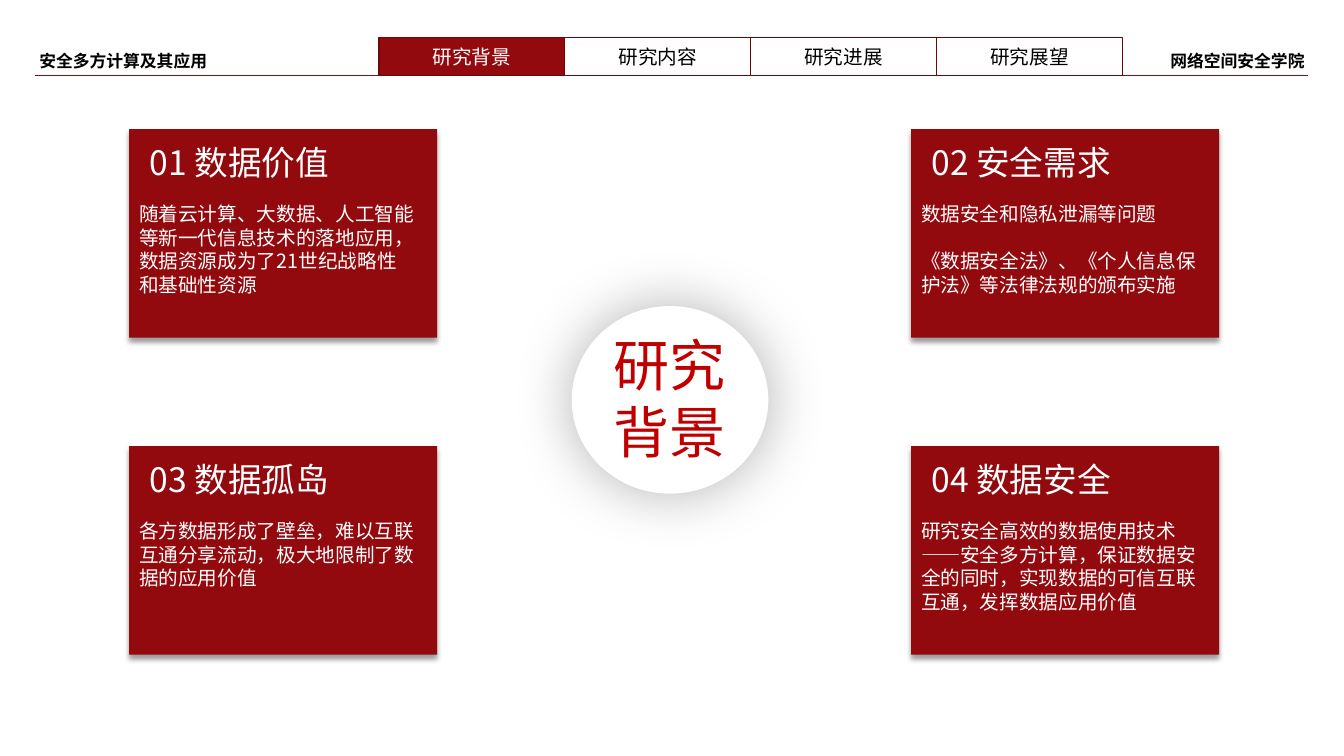
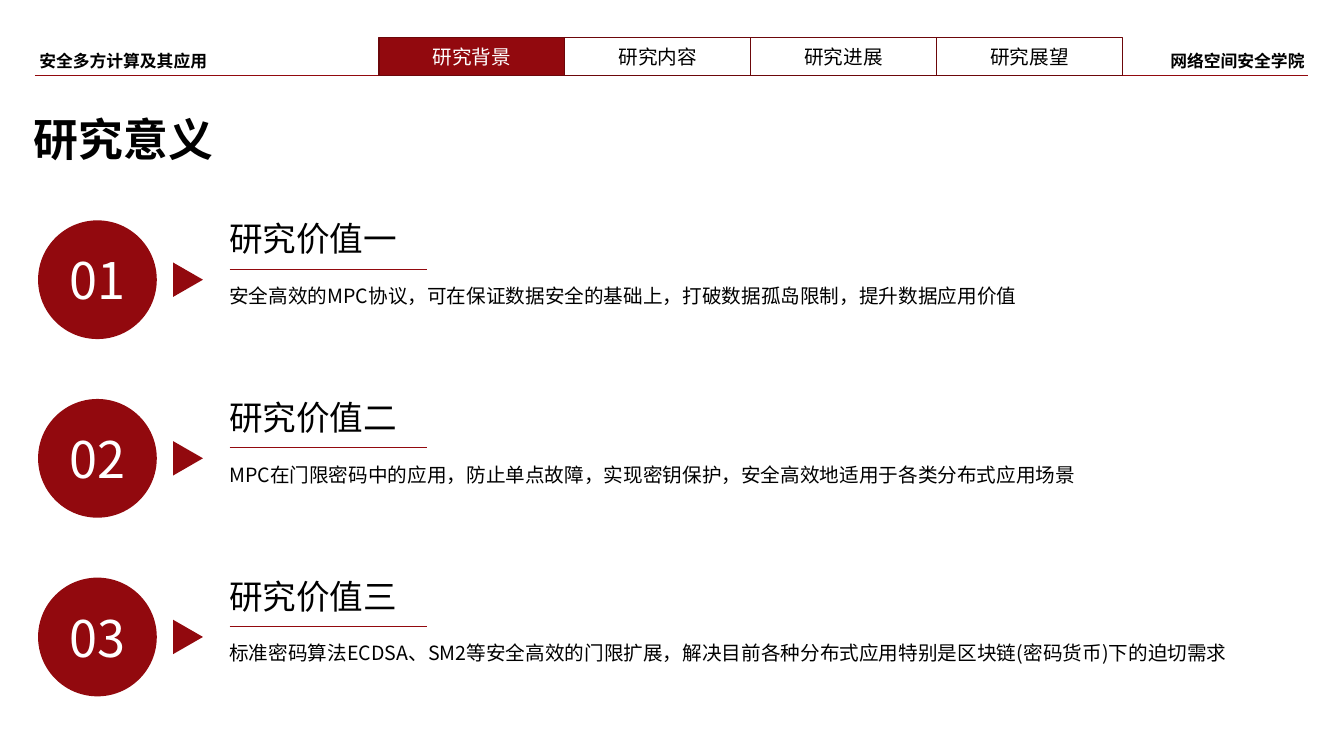
from lxml import etree
from pptx import Presentation
from pptx.dml.color import RGBColor
from pptx.enum.shapes import MSO_CONNECTOR, MSO_SHAPE
from pptx.enum.text import MSO_ANCHOR, PP_ALIGN
from pptx.oxml.ns import qn
from pptx.util import Pt

RECT, OVAL = MSO_SHAPE.RECTANGLE, MSO_SHAPE.OVAL
STRAIGHT = MSO_CONNECTOR.STRAIGHT
LEFT, MID, RIGHT = PP_ALIGN.LEFT, PP_ALIGN.CENTER, PP_ALIGN.RIGHT
FONT = "Noto Sans CJK SC"
HEX = {"red": "92090E", "edge": "6C070A", "core": "C00000",
       "white": "FFFFFF", "black": "000000"}
RGB = {name: RGBColor.from_string(code) for name, code in HEX.items()}


def write(shape, lines, size, color="black", align=LEFT, bold=False, gap=0):
    """Fill a shape with paragraphs of one style, gap points apart."""
    frame = shape.text_frame
    frame.word_wrap = True
    frame.text = "\n".join(lines)
    for i, para in enumerate(frame.paragraphs):
        para.alignment = align
        para.line_spacing = Pt(size * 1.2)
        para.space_before = Pt(gap if i else 0)
        font = para.font
        font.name, font.size, font.bold = FONT, Pt(size), bold
        font.color.rgb = RGB[color]
        for run in para.runs:
            east = etree.SubElement(run._r.get_or_add_rPr(), qn("a:ea"))
            east.set("typeface", FONT)


def effect(shape, blur=0, dist=0, alpha=0):
    """Replace the theme shadow; cast a black one downwards if blur is set."""
    props = shape._element.spPr
    for old in props.findall(qn("a:effectLst")):
        props.remove(old)
    effects = etree.SubElement(props, qn("a:effectLst"))
    if blur:
        shade = etree.SubElement(
            effects, qn("a:outerShdw"), blurRad=str(Pt(blur)),
            dist=str(Pt(dist)), dir="5400000", algn="ctr", rotWithShape="0")
        tone = etree.SubElement(shade, qn("a:srgbClr"), val=HEX["black"])
        etree.SubElement(tone, qn("a:alpha"), val=str(alpha * 1000))


deck = Presentation()
deck.slide_width, deck.slide_height = Pt(960), Pt(540)
first, second = [deck.slides.add_slide(deck.slide_layouts[6])
                 for _ in range(2)]

# Shared header: names, rule and section tabs
TABS = ["研究背景", "研究内容", "研究进展", "研究展望"]
NAMES = [("安全多方计算及其应用", 21, 363, LEFT),
         ("网络空间安全学院", 780, 159, RIGHT)]
for slide in (first, second):
    for name, x, wide, align in NAMES:
        box = slide.shapes.add_textbox(Pt(x), Pt(32.4), Pt(wide), Pt(21.6))
        write(box, [name], 12, align=align, bold=True)
    rule = slide.shapes.add_connector(STRAIGHT, Pt(25), Pt(54),
                                      Pt(934.6), Pt(54))
    rule.line.color.rgb, rule.line.width = RGB["red"], Pt(0.5)
    effect(rule)
    for i, label in enumerate(TABS):
        tab = slide.shapes.add_shape(RECT, Pt(270.6 + i * 132.8), Pt(26.6),
                                     Pt(132.8), Pt(27.4))
        tab.line.color.rgb, tab.line.width = RGB["edge"], Pt(1)
        effect(tab)
        if i == 0:
            tab.fill.solid()
            tab.fill.fore_color.rgb = RGB["red"]
        else:
            tab.fill.background()
        write(tab, [label], 14, "black" if i else "white", MID)

# Slide 1: centre disc
disc = first.shapes.add_shape(OVAL, Pt(408.4), Pt(218.6), Pt(140.4), Pt(134))
disc.fill.solid()
disc.fill.fore_color.rgb = RGB["white"]
disc.line.fill.background()
effect(disc, 43, 0, 30)
title = first.shapes.add_textbox(Pt(389), Pt(232.6), Pt(178.6), Pt(104.4))
write(title, ["研究", "背景"], 40, "core", MID)

# Slide 1: four cards, two by two
CARDS = [
    ("01 数据价值", ["随着云计算、大数据、人工智能等新一代信息技术的落地应用，"
                 "数据资源成为了21世纪战略性和基础性资源"]),
    ("02 安全需求", ["数据安全和隐私泄漏等问题",
                 "《数据安全法》、《个人信息保护法》等法律法规的颁布实施"]),
    ("03 数据孤岛", ["各方数据形成了壁垒，难以互联互通分享流动，"
                 "极大地限制了数据的应用价值"]),
    ("04 数据安全", ["研究安全高效的数据使用技术——安全多方计算，保证数据安全的同时，"
                 "实现数据的可信互联互通，发挥数据应用价值"]),
]
for i, (head, body) in enumerate(CARDS):
    row, col = divmod(i, 2)
    x, y = 92.3 + col * 558.5, 92.2 + row * 226.5
    card = first.shapes.add_shape(RECT, Pt(x), Pt(y), Pt(220), Pt(149))
    card.fill.solid()
    card.fill.fore_color.rgb = RGB["red"]
    card.line.fill.background()
    effect(card, 4, 3, 40)
    box = first.shapes.add_textbox(Pt(x + 7.5), Pt(y + 5.8), Pt(212), Pt(36))
    write(box, [head], 24, "white")
    box = first.shapes.add_textbox(Pt(x), Pt(y + 48.6), Pt(211), Pt(92))
    write(box, body, 14, "white", gap=16.8)

# Slide 2: title
title = second.shapes.add_textbox(Pt(17), Pt(76.3), Pt(367), Pt(46))
write(title, ["研究意义"], 32, bold=True)

# Slide 2: three numbered rows
ROWS = [
    ("研究价值一", "安全高效的MPC协议，可在保证数据安全的基础上，"
              "打破数据孤岛限制，提升数据应用价值"),
    ("研究价值二", "MPC在门限密码中的应用，防止单点故障，实现密钥保护，"
              "安全高效地适用于各类分布式应用场景"),
    ("研究价值三", "标准密码算法ECDSA、SM2等安全高效的门限扩展，"
              "解决目前各种分布式应用特别是区块链(密码货币)下的迫切需求"),
]
for i, (head, body) in enumerate(ROWS):
    y = 157.4 + i * 127.6
    axis = y + 42.4
    ball = second.shapes.add_shape(OVAL, Pt(27.2), Pt(y), Pt(84.8), Pt(84.8))
    pen = second.shapes.build_freeform(Pt(123.6), Pt(axis - 12.3))
    pen.add_line_segments([(Pt(145), Pt(axis)), (Pt(123.6), Pt(axis + 12.3))])
    arrow = pen.convert_to_shape()
    for shape in (ball, arrow):
        shape.fill.solid()
        shape.fill.fore_color.rgb = RGB["red"]
        shape.line.fill.background()
        effect(shape)
    ball.text_frame.vertical_anchor = MSO_ANCHOR.MIDDLE
    write(ball, [f"{i + 1:02}"], 36, "white", MID)
    box = second.shapes.add_textbox(Pt(156.6), Pt(y - 5), Pt(299), Pt(36))
    write(box, [head], 24)
    rule = second.shapes.add_connector(STRAIGHT, Pt(164), Pt(y + 34.8),
                                       Pt(305), Pt(y + 34.8))
    rule.line.color.rgb, rule.line.width = RGB["red"], Pt(0.5)
    effect(rule)
    box = second.shapes.add_textbox(Pt(156.6), Pt(y + 42), Pt(770), Pt(24.2))
    write(box, [body], 14)

deck.save("out.pptx")
